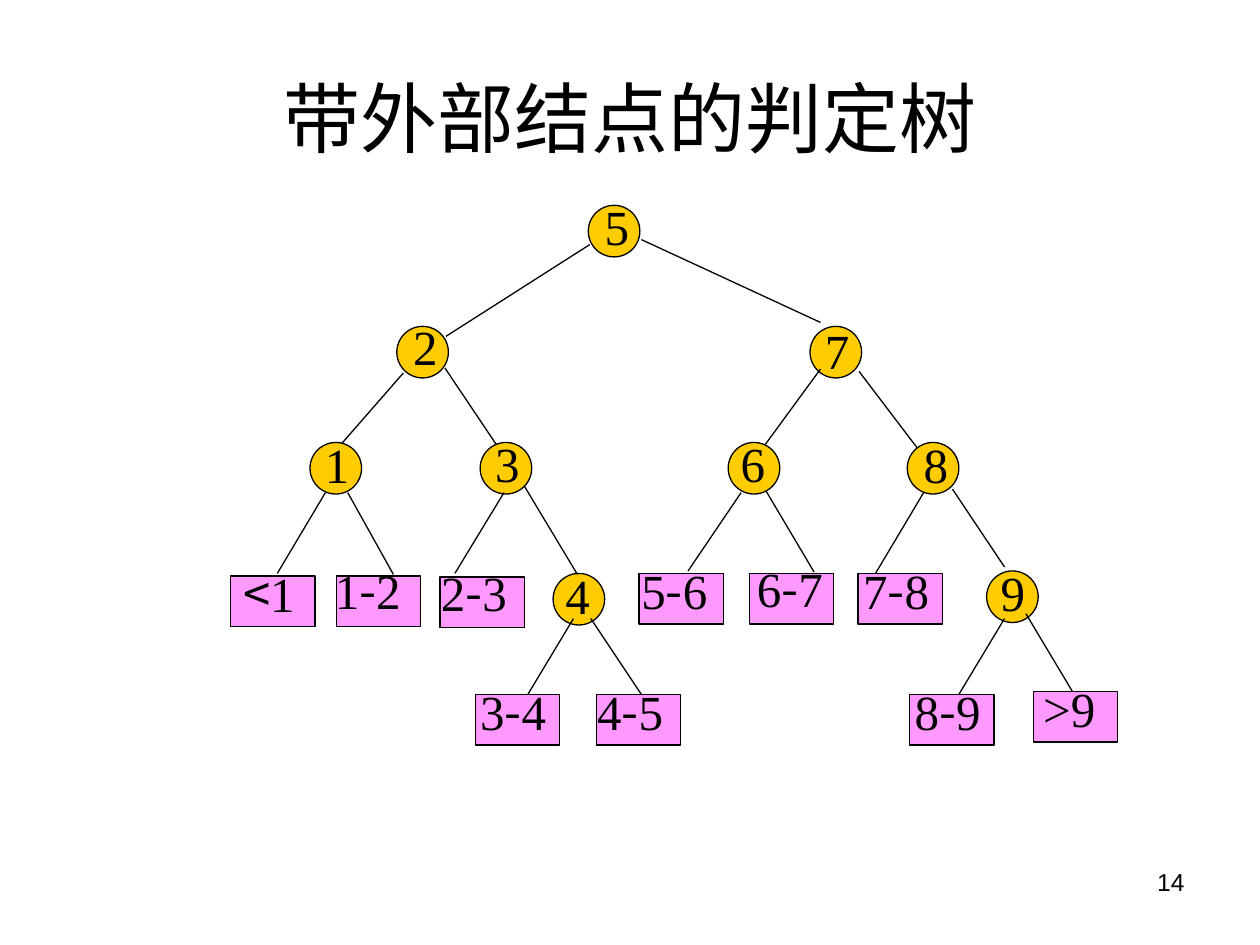
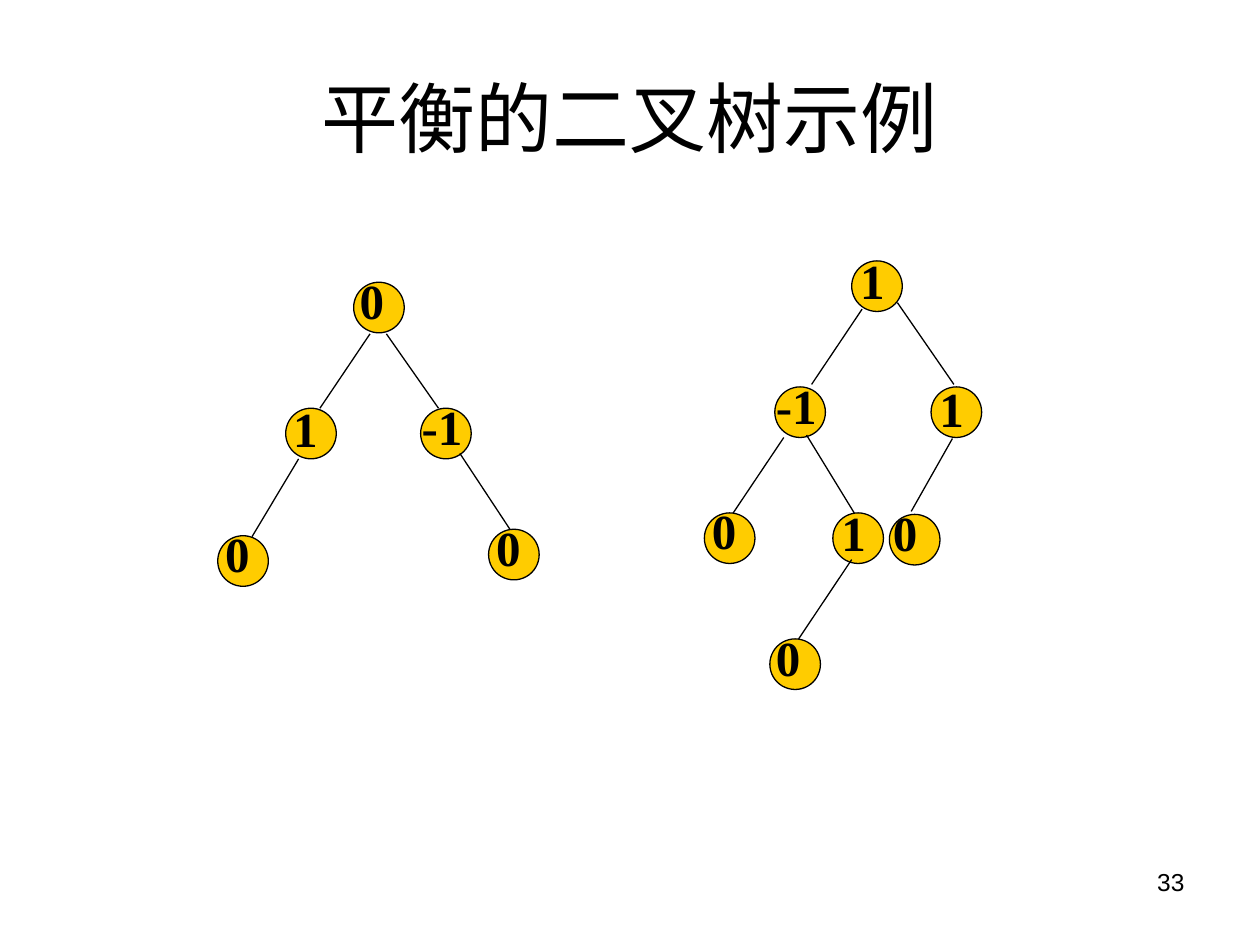
from dataclasses import dataclass

from lxml import etree
from pptx import Presentation
from pptx.dml.color import RGBColor
from pptx.enum.shapes import MSO_CONNECTOR, MSO_SHAPE
from pptx.enum.text import MSO_ANCHOR, MSO_AUTO_SIZE, PP_ALIGN
from pptx.oxml.ns import qn
from pptx.util import Cm, Pt

OVAL, RECT = MSO_SHAPE.OVAL, MSO_SHAPE.RECTANGLE
STRAIGHT = MSO_CONNECTOR.STRAIGHT
TOP, MIDDLE = MSO_ANCHOR.TOP, MSO_ANCHOR.MIDDLE
CENTER, RIGHT, JUSTIFY = PP_ALIGN.CENTER, PP_ALIGN.RIGHT, PP_ALIGN.JUSTIFY
NO_FIT = MSO_AUTO_SIZE.NONE
TITLE_ONLY = 5


@dataclass(frozen=True)
class Theme:
    ink: RGBColor = RGBColor(0, 0, 0)
    node: RGBColor = RGBColor(0xFF, 0xCC, 0x00)
    leaf: RGBColor = RGBColor(0xFF, 0x99, 0xFF)
    line: float = 0.75
    title_size: int = 44
    label_size: int = 28
    page_size: int = 14
    sans: str = "Arial"
    serif: str = "Times New Roman"
    cjk: str = "Noto Sans CJK SC"


@dataclass(frozen=True)
class Kind:
    """Outline, fill, size and label box (cm) of one sort of tree part."""
    outline: int
    fill: RGBColor
    size: tuple
    label_size: tuple
    bold: bool = False
    cjk_signs: str = ""


T = Theme()
KEY = Kind(OVAL, T.node, (1.04, 1.04), (1.37, 1.45))
GAP = Kind(RECT, T.leaf, (1.7, 1.02), (2.13, 2.44), cjk_signs="<-")
BALANCE = Kind(OVAL, T.node, (1.02, 1.02), (1.5, 1.58), bold=True)

# Tree parts: label, x, y, label shift x, label shift y (cm within the tree box)
KEYS = [
    ("5", 7.21, 0, 0.08, -0.3),
    ("2", 3.35, 2.44, 0.08, -0.33),
    ("7", 11.68, 2.44, 0.05, -0.25),
    ("1", 1.6, 4.78, 0.05, -0.28),
    ("3", 5.03, 4.78, 0.05, -0.3),
    ("6", 10.03, 4.78, 0, -0.3),
    ("8", 13.64, 4.78, 0.08, -0.28),
    ("4", 6.5, 7.42, 0, -0.28),
    ("9", 15.24, 7.37, 0.03, -0.3),
]
GAPS = [
    ("<1", 0, 7.47, 0, -0.38),
    ("1-2", 2.13, 7.47, -0.28, -0.43),
    ("2-3", 4.22, 7.49, -0.23, -0.41),
    ("5-6", 8.23, 7.42, -0.2, -0.38),
    ("6-7", 10.46, 7.42, -0.1, -0.43),
    ("7-8", 12.65, 7.42, -0.15, -0.38),
    ("3-4", 4.93, 9.86, -0.15, -0.38),
    ("4-5", 7.37, 9.86, -0.23, -0.38),
    ("8-9", 13.69, 9.86, -0.15, -0.38),
    (">9", 16.18, 9.8, -0.05, -0.38),
]
LEFT_NODES = [
    ("0", 2.74, 0, -0.13, -0.36),
    ("1", 1.37, 2.54, -0.1, -0.33),
    ("-1", 4.09, 2.54, -0.23, -0.36),
    ("0", 0, 5.11, -0.1, -0.38),
    ("0", 5.46, 4.98, -0.1, -0.36),
]
RIGHT_NODES = [
    ("1", 2.97, 0, -0.08, -0.33),
    ("-1", 1.42, 2.54, -0.23, -0.36),
    ("1", 4.57, 2.54, -0.08, -0.3),
    ("0", 0, 5.08, -0.1, -0.38),
    ("1", 2.59, 5.08, -0.08, -0.33),
    ("0", 3.73, 5.11, -0.18, -0.36),
    ("0", 1.32, 7.62, -0.13, -0.36),
]

# Branches: x and y at the parent, x and y at the child
DECISION_BRANCHES = [
    (7.24, 0.79, 4.34, 2.64), (8.28, 0.69, 11.89, 2.36),
    (3.48, 3.38, 2.24, 4.8), (4.32, 3.28, 5.36, 4.83),
    (11.89, 3.3, 10.77, 4.83), (12.67, 3.35, 13.84, 4.89),
    (1.91, 5.79, 0.94, 7.42), (2.36, 5.79, 3.28, 7.44),
    (5.51, 5.79, 4.52, 7.42), (5.92, 5.66, 6.99, 7.44),
    (10.29, 5.79, 9.22, 7.37), (10.8, 5.77, 11.76, 7.39),
    (13.97, 5.79, 13, 7.42), (14.55, 5.72, 15.6, 7.29),
    (6.91, 8.33, 5.99, 9.86), (7.26, 8.33, 8.28, 9.86),
    (15.6, 8.33, 14.68, 9.86), (16.03, 8.23, 16.97, 9.8),
]
LEFT_BRANCHES = [
    (3.07, 1.04, 2.06, 2.54), (3.4, 1.04, 4.45, 2.54),
    (1.63, 3.56, 0.69, 5.13), (4.88, 3.45, 5.89, 4.98),
]
RIGHT_BRANCHES = [
    (3.18, 0.97, 2.16, 2.49), (3.89, 0.84, 5.03, 2.49),
    (1.6, 3.56, 0.58, 5.08), (2.06, 3.51, 3.02, 5.08),
    (5, 3.58, 4.17, 5.05), (2.97, 6.02, 1.9, 7.62),
]


def write(tf, runs, size, align, anchor=TOP, bold=False):
    """Fill a text frame with one paragraph of (text, font) runs."""
    tf.word_wrap = True
    tf.auto_size = NO_FIT
    tf.vertical_anchor = anchor
    p = tf.paragraphs[0]
    p.alignment = align
    for text, font in runs:
        r = p.add_run()
        r.text = text
        r.font.name, r.font.size, r.font.bold = font, Pt(size), bold
        r.font.color.rgb = T.ink
        ea = etree.SubElement(r.font._element, qn("a:ea"))
        ea.set("typeface", T.cjk)


def add_part(shapes, kind, x, y):
    w, h = kind.size
    sp = shapes.add_shape(kind.outline, Cm(x), Cm(y), Cm(w), Cm(h))
    sp.shadow.inherit = False
    sp.fill.solid()
    sp.fill.fore_color.rgb = kind.fill
    sp.line.color.rgb = T.ink
    sp.line.width = Pt(T.line)


def add_branch(shapes, *ends):
    line = shapes.add_connector(STRAIGHT, *map(Cm, ends))
    line.line.color.rgb = T.ink
    line.line.width = Pt(T.line)
    etree.SubElement(line._element.spPr, qn("a:effectLst"))


def add_label(shapes, kind, text, x, y):
    w, h = kind.label_size
    tb = shapes.add_textbox(Cm(x), Cm(y), Cm(w), Cm(h))
    if any(c in kind.cjk_signs for c in text):
        runs = [(c, T.cjk if c in kind.cjk_signs else T.serif) for c in text]
    else:
        runs = [(text, T.serif)]
    write(tb.text_frame, runs, T.label_size, JUSTIFY, bold=kind.bold)


def add_tree(s, left, top, parts, branches):
    """Draw a tree as one group; parts is a list of (kind, entries)."""
    shapes = s.shapes.add_group_shape().shapes
    flat = [(kind, *entry) for kind, entries in parts for entry in entries]
    for kind, _, x, y, _, _ in flat:
        add_part(shapes, kind, left + x, top + y)
    for x1, y1, x2, y2 in branches:
        add_branch(shapes, left + x1, top + y1, left + x2, top + y2)
    for kind, text, x, y, dx, dy in flat:
        add_label(shapes, kind, text, left + x + dx, top + y + dy)


def add_slide(prs, title, page):
    """Start a slide with the shared title and page number."""
    s = prs.slides.add_slide(prs.slide_layouts[TITLE_ONLY])
    sp = s.shapes.title
    sp.left, sp.top, sp.width, sp.height = Cm(1.27), Cm(0.76), Cm(22.86), Cm(3.18)
    write(sp.text_frame, [(title, T.sans)], T.title_size, CENTER, MIDDLE)
    tb = s.shapes.add_textbox(Cm(18.21), Cm(17.35), Cm(5.92), Cm(1.32))
    write(tb.text_frame, [(page, T.sans)], T.page_size, RIGHT)
    return s


def main():
    prs = Presentation()
    prs.slide_width, prs.slide_height = Cm(25.4), Cm(19.05)

    # Decision tree with external nodes
    s = add_slide(prs, "带外部结点的判定树", "14")
    add_tree(s, 4.65, 4.14, [(KEY, KEYS), (GAP, GAPS)], DECISION_BRANCHES)

    # Two balanced trees
    s = add_slide(prs, "平衡的二叉树示例", "33")
    add_tree(s, 4.39, 5.69, [(BALANCE, LEFT_NODES)], LEFT_BRANCHES)
    add_tree(s, 14.2, 5.26, [(BALANCE, RIGHT_NODES)], RIGHT_BRANCHES)

    prs.save("out.pptx")


if __name__ == "__main__":
    main()
